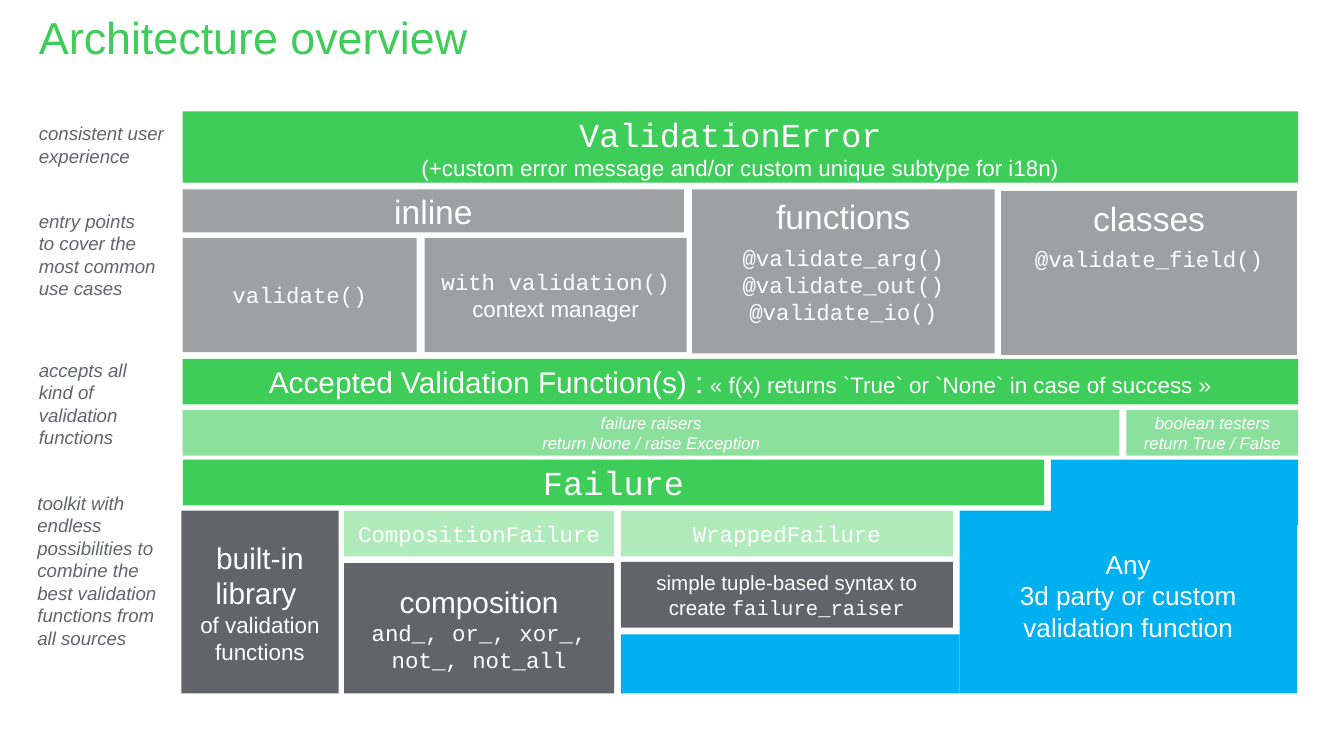
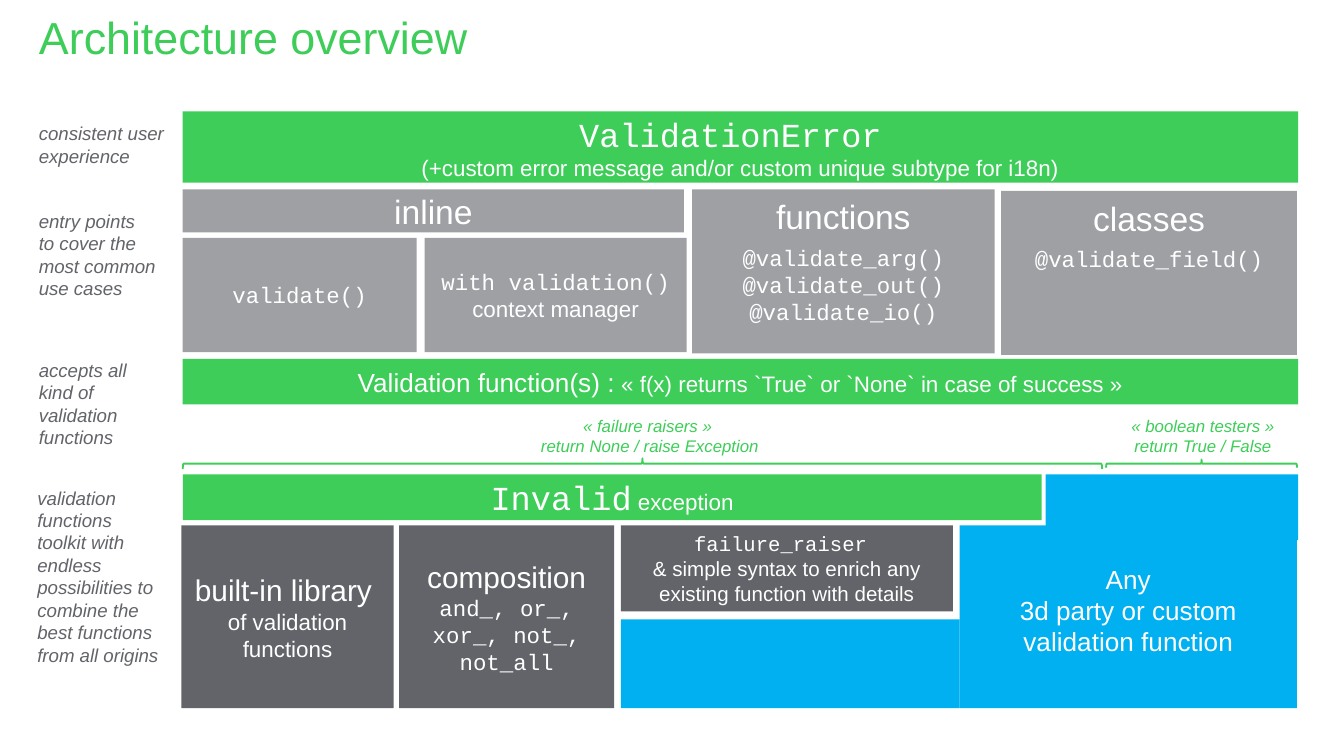
from dataclasses import dataclass
from typing import Optional

from pptx import Presentation
from pptx.dml.color import RGBColor
from pptx.enum.shapes import MSO_SHAPE
from pptx.enum.text import MSO_ANCHOR, MSO_AUTO_SIZE, PP_ALIGN
from pptx.util import Inches, Pt


@dataclass(frozen=True)
class Theme:
    """Colours, fonts and type sizes of the deck."""
    green: str = "3DCD58"
    soft_green: str = "8BE19B"
    pale_green: str = "B1EBBC"
    gray: str = "9FA0A4"
    dark: str = "626469"
    blue: str = "00B0F0"
    white: str = "FFFFFF"
    sans: str = "Arial"
    mono: str = "Courier New"
    title: int = 24
    heading: int = 18
    subheading: int = 16
    large: int = 14
    body: int = 12
    detail: int = 11
    label: int = 10
    note: int = 9


THEME = Theme()
LEFT = 1.36
FULL_WIDTH = 8.3
BAR_HEIGHT = 0.34
BASE_HEIGHT = 1.36
LABEL_LEFT = 0.19


@dataclass(frozen=True)
class Line:
    """A paragraph in one style, with an optional tail in another."""
    text: str
    size: int = THEME.body
    font: str = THEME.sans
    italic: bool = False
    before: int = 0
    tail: Optional["Line"] = None


def code(text, size=THEME.body, **options):
    """Return a line in the code font."""
    return Line(text, size, THEME.mono, **options)


def style_font(font, line, color):
    """Apply the style of a line to a font."""
    font.name = line.font
    font.size = Pt(line.size)
    font.italic = line.italic
    font.color.rgb = RGBColor.from_string(color)


def write_lines(text_frame, lines, color, alignment):
    """Fill a text frame with styled paragraphs."""
    for index, line in enumerate(lines):
        paragraph = text_frame.add_paragraph() if index else text_frame.paragraphs[0]
        paragraph.alignment = alignment
        paragraph.space_before = Pt(line.before)
        parts = [line, line.tail] if line.tail else [line]
        for part in parts:
            run = paragraph.add_run()
            run.text = part.text
            if line.tail:
                style_font(run.font, part, color)
        if not line.tail:
            style_font(paragraph.font, line, color)


def add_title(slide, text):
    """Place the slide title."""
    title = slide.shapes.title
    title.left, title.top = Inches(0.29), Inches(0.07)
    title.width, title.height = Inches(9.44), Inches(0.4)
    frame = title.text_frame
    frame.margin_left = frame.margin_top = frame.margin_right = frame.margin_bottom = 0
    frame.vertical_anchor = MSO_ANCHOR.TOP
    frame.auto_size = MSO_AUTO_SIZE.NONE
    write_lines(frame, [Line(text, THEME.title, before=3)], THEME.green, PP_ALIGN.LEFT)


def add_block(slide, box, fill, *lines, anchor=MSO_ANCHOR.MIDDLE, side_margin=0.1,
              top_margin=0.05):
    """Draw a filled rectangle with centred white text."""
    shape = slide.shapes.add_shape(MSO_SHAPE.RECTANGLE, *map(Inches, box))
    shape.shadow.inherit = False
    shape.fill.solid()
    shape.fill.fore_color.rgb = RGBColor.from_string(fill)
    shape.line.fill.background()
    frame = shape.text_frame
    frame.word_wrap = True
    frame.vertical_anchor = anchor
    frame.margin_left = frame.margin_right = Inches(side_margin)
    frame.margin_top = Inches(top_margin)
    write_lines(frame, lines, THEME.white, PP_ALIGN.CENTER)


def add_text(slide, box, *lines, color=THEME.dark, alignment=PP_ALIGN.LEFT,
             anchor=MSO_ANCHOR.TOP, side_margin=0.1):
    """Add a wrapped text box."""
    frame = slide.shapes.add_textbox(*map(Inches, box)).text_frame
    frame.word_wrap = True
    frame.vertical_anchor = anchor
    frame.margin_left = frame.margin_right = Inches(side_margin)
    write_lines(frame, lines, color, alignment)


def add_label(slide, box, *texts):
    """Add an italic side label."""
    add_text(slide, box, *(Line(text, THEME.label, italic=True) for text in texts))


def note_lines(*texts):
    """Return small italic lines."""
    return [Line(text, THEME.note, italic=True) for text in texts]


def add_brace(slide, left, top, width, height):
    """Draw a horizontal brace that opens downwards."""
    shape = slide.shapes.add_shape(
        MSO_SHAPE.LEFT_BRACE, Inches(left + (width - height) / 2),
        Inches(top + (height - width) / 2), Inches(height), Inches(width))
    shape.rotation = 90
    shape.shadow.inherit = False
    shape.fill.background()
    shape.line.color.rgb = RGBColor.from_string(THEME.green)
    shape.line.width = Pt(1)


def add_entry_points(slide):
    """Draw the gray blocks for inline, function and class validation."""
    add_block(slide, (5.15, 1.41, 2.25, 1.22), THEME.gray,
              Line("functions", THEME.heading), code("@validate_arg()", before=4),
              code("@validate_out()"), code("@validate_io()"), anchor=MSO_ANCHOR.TOP)
    add_block(slide, (7.45, 1.42, 2.2, 1.22), THEME.gray,
              Line("classes", THEME.heading), code("@validate_field()", before=4),
              anchor=MSO_ANCHOR.TOP)
    add_block(slide, (3.16, 1.77, 1.95, 0.85), THEME.gray,
              code("with validation()"), Line("context manager"))
    add_block(slide, (LEFT, 1.77, 1.74, 0.85), THEME.gray, code("validate()"))
    add_block(slide, (LEFT, 1.41, 3.73, 0.32), THEME.gray, Line("inline", THEME.heading))


def add_third_party(slide, top, bar_top, step_left, foot_top):
    """Draw the stepped blue area for outside validation functions."""
    bottom = top + BASE_HEIGHT
    add_block(slide, (step_left, bar_top, LEFT + FULL_WIDTH - step_left, 0.49), THEME.blue)
    add_block(slide, (4.62, foot_top, 2.52, bottom - foot_top), THEME.blue)
    add_block(slide, (7.14, top, 2.51, BASE_HEIGHT), THEME.blue,
              Line("Any", THEME.large),
              Line("3d party or custom validation function", THEME.large),
              anchor=MSO_ANCHOR.TOP, top_margin=0.28)


def add_toolkit(slide, top, library_width, composition_box):
    """Draw the built-in library and composition blocks."""
    add_block(slide, (1.35, top, library_width, BASE_HEIGHT), THEME.dark,
              Line("built-in library ", THEME.subheading), Line("of validation functions"))
    add_block(slide, composition_box, THEME.dark,
              Line("composition", THEME.subheading), code("and_, or_, xor_, not_, not_all"))


def add_architecture_slide(presentation, accepted):
    """Add a slide with the parts that both overviews share."""
    slide = presentation.slides.add_slide(presentation.slide_layouts[5])
    add_title(slide, "Architecture overview")
    add_entry_points(slide)
    add_block(slide, (LEFT, 0.83, FULL_WIDTH, 0.53), THEME.green,
              code("ValidationError ", THEME.heading),
              Line("(+custom error message and/or custom unique subtype for i18n)"))
    add_block(slide, (LEFT, 2.67, FULL_WIDTH, BAR_HEIGHT), THEME.green, accepted)
    add_label(slide, (LABEL_LEFT, 0.86, 1.21, 0.44), "consistent user experience")
    add_label(slide, (LABEL_LEFT, 1.51, 1.09, 0.77),
              "entry points", "to cover the most common use cases")
    add_label(slide, (LABEL_LEFT, 2.62, 1.09, 0.77), "accepts all kind of validation functions")
    return slide


def build_failure_slide(presentation, success):
    """Build the overview based on Failure types."""
    slide = add_architecture_slide(
        presentation, Line("Accepted Validation Function(s) :", THEME.subheading, tail=success))
    add_label(slide, (0.18, 3.61, 1.09, 1.28),
              "toolkit with endless possibilities to combine the best validation "
              "functions from all sources")
    add_block(slide, (LEFT, 3.05, 6.97, BAR_HEIGHT), THEME.soft_green,
              *note_lines("failure raisers", "return None / raise Exception"), side_margin=0)
    add_block(slide, (8.38, 3.05, 1.28, BAR_HEIGHT), THEME.soft_green,
              *note_lines("boolean testers", "return True / False"), side_margin=0)
    add_block(slide, (LEFT, 3.42, 6.41, BAR_HEIGHT), THEME.green, code("Failure", THEME.heading))
    add_toolkit(slide, 3.8, 1.17, (2.56, 4.19, 2.01, 0.97))
    add_block(slide, (2.56, 3.8, 2.01, BAR_HEIGHT), THEME.pale_green, code("CompositionFailure"))
    add_block(slide, (4.62, 3.8, 2.47, BAR_HEIGHT), THEME.pale_green, code("WrappedFailure"))
    add_block(slide, (4.62, 4.18, 2.47, 0.49), THEME.dark,
              Line("simple tuple-based syntax to create ", THEME.detail,
                   tail=code("failure_raiser", THEME.detail)))
    add_third_party(slide, 3.8, 3.42, 7.82, 4.72)


def build_invalid_slide(presentation, success):
    """Build the overview based on the Invalid exception."""
    slide = add_architecture_slide(
        presentation, Line("Validation function(s) :", THEME.large, tail=success))
    add_label(slide, (0.18, 3.57, 1.17, 1.45), "validation functions",
              "toolkit with endless possibilities to combine the best functions from all origins")
    notes = [(1.35, 6.97, "« failure raisers » ", "return None / raise Exception"),
             (8.31, 1.28, "« boolean testers »", "return True / False")]
    for left, width, *texts in notes:
        add_text(slide, (left, 3.07, width, BAR_HEIGHT), *note_lines(*texts), color=THEME.green,
                 alignment=PP_ALIGN.CENTER, anchor=MSO_ANCHOR.MIDDLE, side_margin=0)
    add_brace(slide, LEFT, 3.41, 6.84, 0.08)
    add_brace(slide, 8.23, 3.42, 1.42, 0.06)
    add_block(slide, (LEFT, 3.53, 6.39, BAR_HEIGHT), THEME.green,
              code("Invalid", THEME.heading, tail=Line(" exception")))
    add_toolkit(slide, 3.91, 1.58, (2.97, 3.91, 1.6, BASE_HEIGHT))
    add_block(slide, (4.62, 3.91, 2.47, 0.64), THEME.dark,
              code("failure_raiser ", THEME.detail),
              Line("& simple syntax to enrich any existing function with details", THEME.detail))
    add_third_party(slide, 3.91, 3.53, 7.78, 4.61)


def main():
    """Build and save the presentation."""
    presentation = Presentation()
    presentation.slide_width = Inches(10)
    presentation.slide_height = Inches(10 * 9 / 16)
    success = Line(" « f(x) returns `True` or `None` in case of success »")
    build_failure_slide(presentation, success)
    build_invalid_slide(presentation, success)
    presentation.save("out.pptx")


if __name__ == "__main__":
    main()
